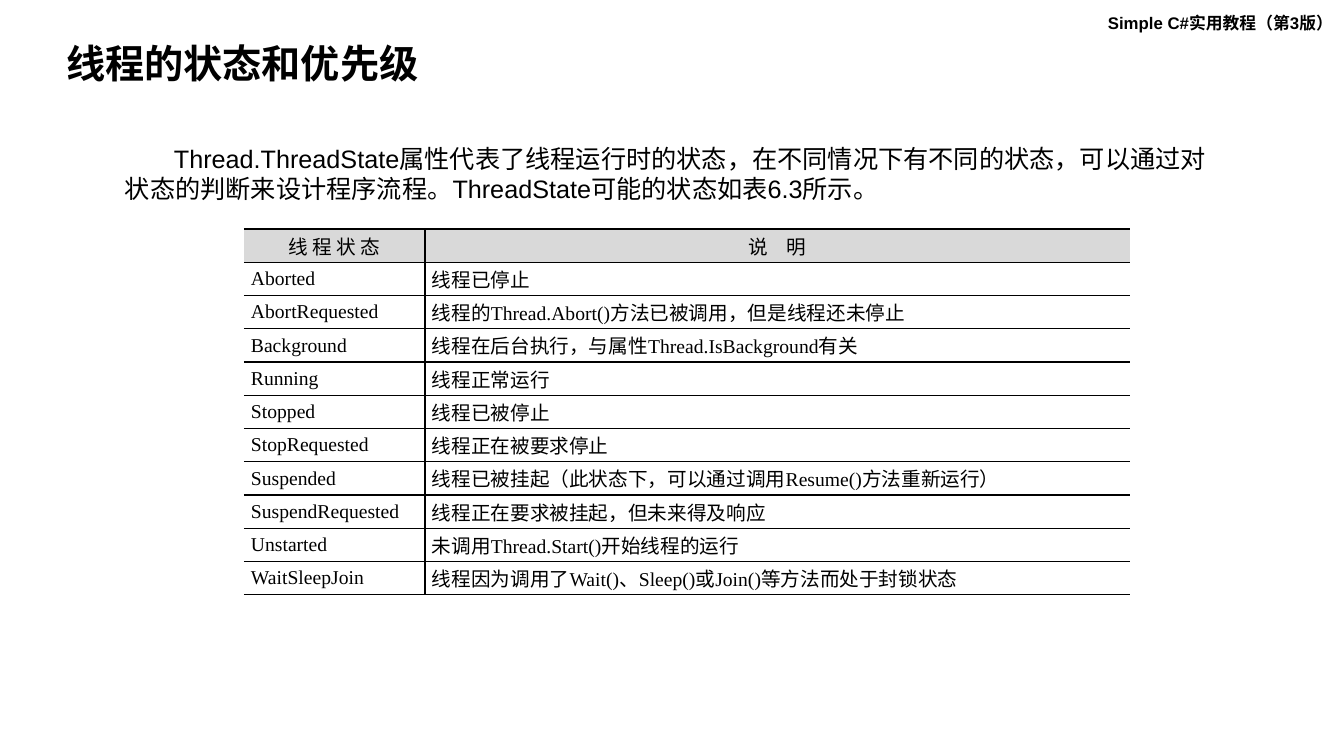
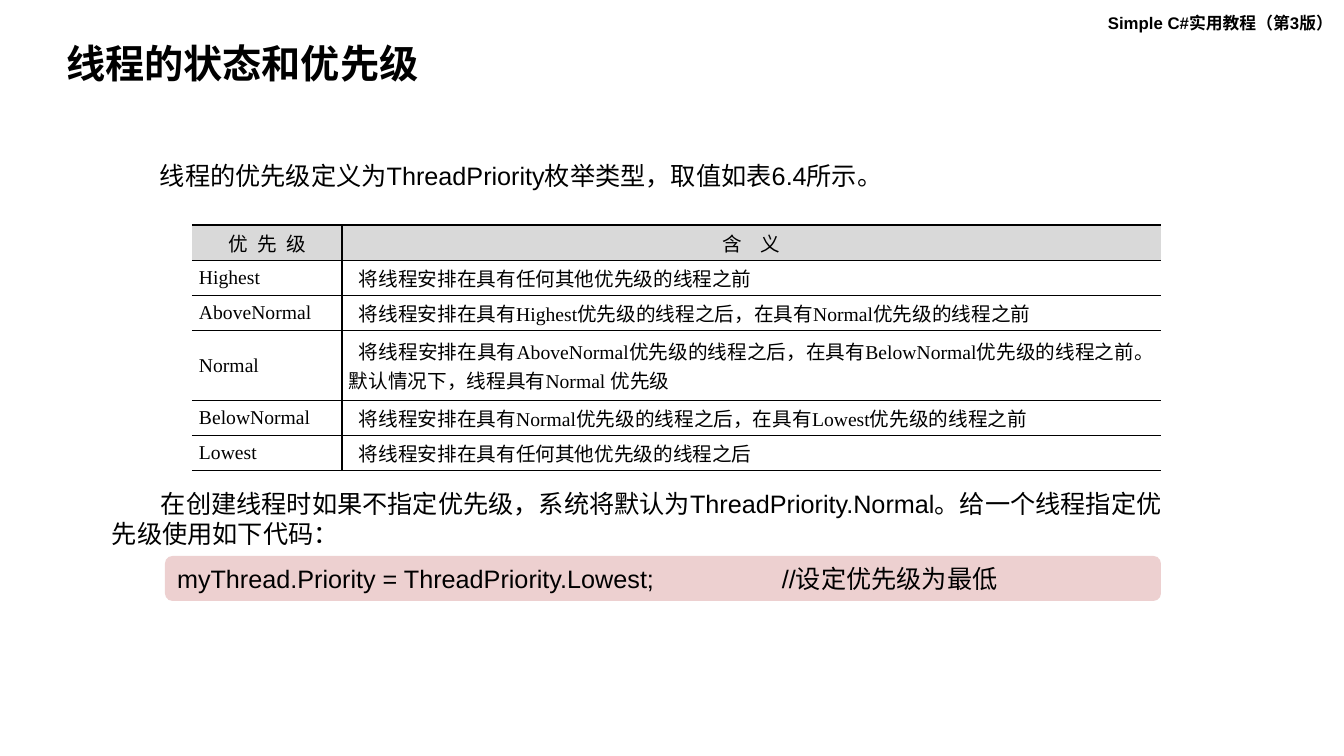
import pptx
import pptx.dml.color
import pptx.enum.shapes
import pptx.enum.text
import pptx.oxml
import pptx.oxml.ns
import pptx.util

ALIGN = pptx.enum.text.PP_ALIGN
MIDDLE = pptx.enum.text.MSO_ANCHOR.MIDDLE
BLACK, HEADER_GREY, CODE_PINK = "000000", "D9D9D9", "EDD0D0"
PX = 914400 / 100.8
NS = pptx.oxml.ns.nsdecls("a")
colour = pptx.dml.color.RGBColor.from_string


def px(*lengths):
    return [round(length * PX) for length in lengths]


def write(frame, text, size=18, font="Arial", bold=False, align=ALIGN.LEFT,
          indent=0, line=None, spread=0):
    """Fill a text frame with one formatted paragraph."""
    frame.word_wrap = True
    frame.text = text
    paragraph = frame.paragraphs[0]
    paragraph.alignment = align
    paragraph.line_spacing = line
    properties = paragraph._p.get_or_add_pPr()
    properties.set("marL", "0")
    properties.set("indent", str(px(indent)[0]))
    for run in paragraph.runs:
        run.font.size = pptx.util.Pt(size)
        run.font.name = font
        run.font.bold = bold
        run.font.color.rgb = colour(BLACK)
        if spread:
            run._r.get_or_add_rPr().set("spc", str(spread))


# Content: passages are (box, indent, text); spreads are header letter spacings
pages = [
    {
        "passages": [
            ((115, 138, 1121, 72), 49,
             "Thread.ThreadState属性代表了线程运行时的状态，在不同情况下有不同的状态，"
             "可以通过对状态的判断来设计程序流程。ThreadState可能的状态如表6.3所示。"),
        ],
        "table_box": (244, 229, 886, 366),
        "name_width": 181,
        "meaning_indent": 0,
        "spreads": (0, 525),
        "tall_row": None,
        "rows": [
            ("线 程 状 态", "说 明"),
            ("Aborted", "线程已停止"),
            ("AbortRequested", "线程的Thread.Abort()方法已被调用，但是线程还未停止"),
            ("Background", "线程在后台执行，与属性Thread.IsBackground有关"),
            ("Running", "线程正常运行"),
            ("Stopped", "线程已被停止"),
            ("StopRequested", "线程正在被要求停止"),
            ("Suspended", "线程已被挂起（此状态下，可以通过调用Resume()方法重新运行）"),
            ("SuspendRequested", "线程正在要求被挂起，但未来得及响应"),
            ("Unstarted", "未调用Thread.Start()开始线程的运行"),
            ("WaitSleepJoin", "线程因为调用了Wait()、Sleep()或Join()等方法而处于封锁状态"),
        ],
    },
    {
        "passages": [
            ((150, 155, 769, 40), 0,
             "线程的优先级定义为ThreadPriority枚举类型，取值如表6.4所示。"),
            ((102, 483, 1085, 72), 49,
             "在创建线程时如果不指定优先级，系统将默认为ThreadPriority.Normal。"
             "给一个线程指定优先级使用如下代码："),
        ],
        "table_box": (192, 225, 969, 246),
        "name_width": 150,
        "meaning_indent": 10,
        "spreads": (175, 525),
        "tall_row": 3,
        "rows": [
            ("优 先 级", "含 义"),
            ("Highest", "将线程安排在具有任何其他优先级的线程之前"),
            ("AboveNormal", "将线程安排在具有Highest优先级的线程之后，在具有Normal优先级的线程之前"),
            ("Normal", "将线程安排在具有AboveNormal优先级的线程之后，在具有BelowNormal优先级的"
                       "线程之前。默认情况下，线程具有Normal 优先级"),
            ("BelowNormal", "将线程安排在具有Normal优先级的线程之后，在具有Lowest优先级的线程之前"),
            ("Lowest", "将线程安排在具有任何其他优先级的线程之后"),
        ],
    },
]

deck = pptx.Presentation()
deck.slide_width, deck.slide_height = px(1344, 756)

for page in pages:
    slide = deck.slides.add_slide(deck.slide_layouts[5])

    # Book name and title
    book = slide.shapes.add_textbox(*px(1098, 8, 246, 30))
    write(book.text_frame, "Simple C#实用教程（第3版）", size=12, bold=True)
    title = slide.shapes.title
    title.left, title.top, title.width, title.height = px(56, 40, 545, 52)
    title.text_frame.vertical_anchor = MIDDLE
    title.text_frame.auto_size = pptx.enum.text.MSO_AUTO_SIZE.NONE
    write(title.text_frame, "线程的状态和优先级", size=28, bold=True, line=0.9)

    # Passages
    for box, indent, text in page["passages"]:
        passage = slide.shapes.add_textbox(*px(*box))
        write(passage.text_frame, text, indent=indent)

    # Table: equal rows, with the tall one counting twice
    rows = page["rows"]
    left, top, width, height = page["table_box"]
    table = slide.shapes.add_table(len(rows), 2, *px(left, top, width, height)).table
    table.first_row = table.horz_banding = False
    name_width = page["name_width"]
    table.columns[0].width, table.columns[1].width = px(name_width, width - name_width)
    units = [2 if r == page["tall_row"] else 1 for r in range(len(rows))]
    for r, row in enumerate(rows):
        table.rows[r].height = px(height * units[r] / sum(units))[0]
        for c, text in enumerate(row):
            cell = table.cell(r, c)
            cell.margin_left, cell.margin_right, cell.margin_top, cell.margin_bottom = px(7, 7, 0, 0)
            cell.vertical_anchor = MIDDLE
            is_header = r == 0
            write(cell.text_frame, text, size=14, font="Times New Roman",
                  align=ALIGN.CENTER if is_header else ALIGN.JUSTIFY,
                  indent=page["meaning_indent"] if c and not is_header else 0,
                  spread=page["spreads"][c] if is_header else 0)

            # Rules above and below each row, and one between the columns
            ruled = {"lnL": c == 1, "lnR": c == 0, "lnT": True, "lnB": True}
            for side, drawn in ruled.items():
                paint = (f'<a:solidFill><a:srgbClr val="{BLACK}"/></a:solidFill>'
                         if drawn else "<a:noFill/>")
                cell._tc.get_or_add_tcPr().append(pptx.oxml.parse_xml(
                    f'<a:{side} {NS} w="12700">{paint}</a:{side}>'))
            if is_header:
                cell.fill.solid()
                cell.fill.fore_color.rgb = colour(HEADER_GREY)
            else:
                cell.fill.background()

# Code sample on the last slide
code = slide.shapes.add_shape(
    pptx.enum.shapes.MSO_SHAPE.ROUNDED_RECTANGLE, *px(165, 556, 996, 45))
code.shadow.inherit = False
code.fill.solid()
code.fill.fore_color.rgb = colour(CODE_PINK)
code.line.fill.background()
code.text_frame.vertical_anchor = MIDDLE
write(code.text_frame, "myThread.Priority = ThreadPriority.Lowest;\t\t\t//设定优先级为最低")

deck.save("out.pptx")
